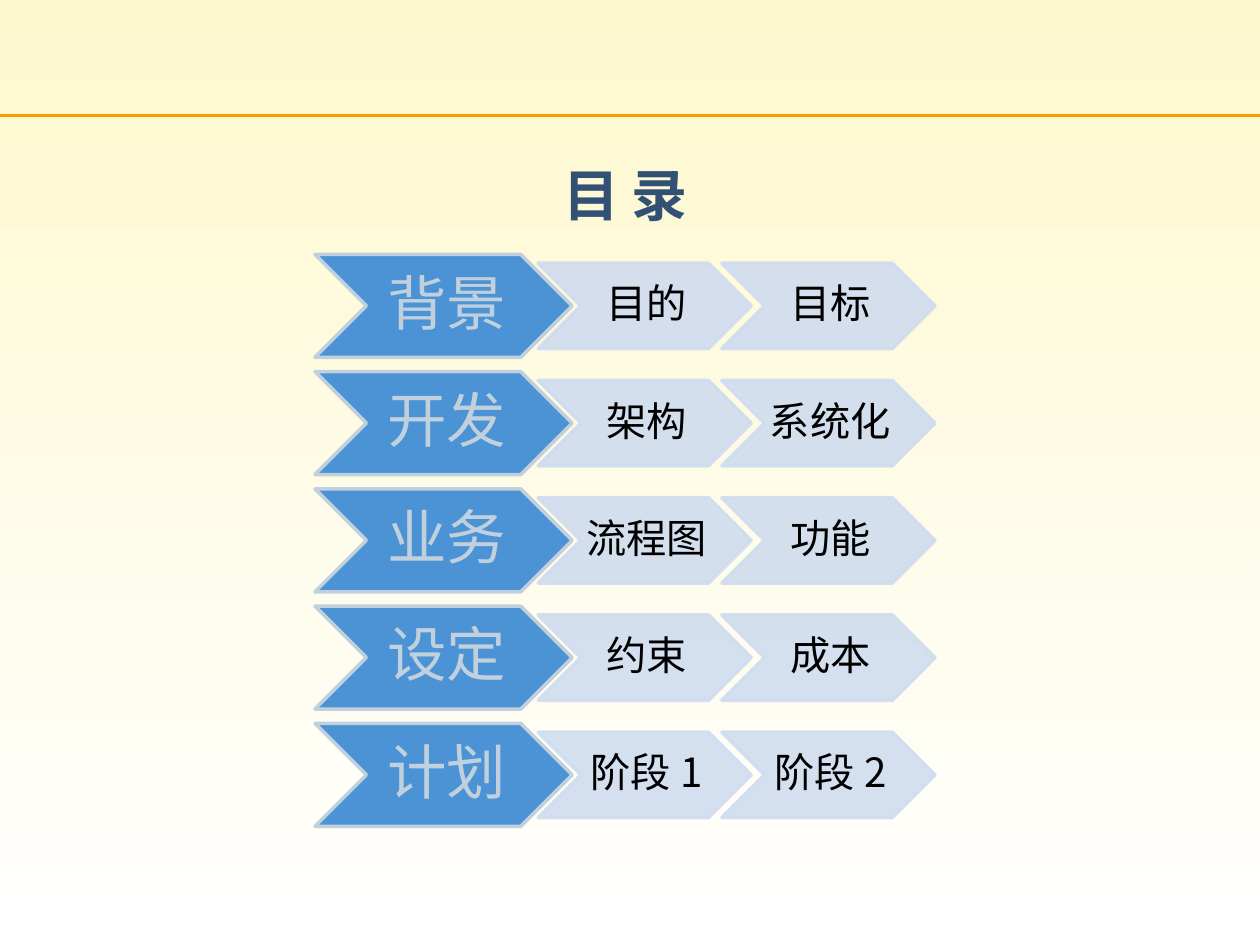
from lxml.etree import SubElement
from pptx import Presentation
from pptx.dml.color import RGBColor
from pptx.enum.shapes import MSO_CONNECTOR as Connector, MSO_SHAPE as Shape
from pptx.enum.text import MSO_ANCHOR as Anchor, MSO_AUTO_SIZE as AutoSize, PP_ALIGN as Align
from pptx.oxml.ns import qn
from pptx.util import Pt

FONT = "Noto Sans CJK SC"

CHAPTERS = [
    ("背景", "目的", "目标"),
    ("开发", "架构", "系统化"),
    ("业务", "流程图", "功能"),
    ("设定", "约束", "成本"),
    ("计划", "阶段 1", "阶段 2"),
]
FIRST_TOP = 145.4
ROW_STEP = 67
CHAPTER_LEFT = 180
CHAPTER_SIZE = (147, 58.8)
TOPIC_LEFT = 307.5
TOPIC_STEP = 105
TOPIC_SIZE = (121.8, 48.8)

CHAPTER_STYLE = {"fill": "4B93D5", "line": "C1D0DD", "text": "C1D0DD",
                 "size": 34, "inset": 3.4, "opacity": 100}
TOPIC_STYLE = {"fill": "D0DCEF", "line": "D0DCEF", "text": "000000",
               "size": 23, "inset": 2.3, "opacity": 90}


def color(value):
    return RGBColor.from_string(value)


def apply(target, values):
    for name, value in values.items():
        setattr(target, name, value)


def set_opacity(shape, percent):
    for element in shape._element.spPr.iter(qn("a:srgbClr")):
        SubElement(element, qn("a:alpha")).set("val", str(percent * 1000))


class SlideBuilder:
    def __init__(self, slide, font):
        self.slide = slide
        self.font = font

    def background(self, top, bottom):
        fill = self.slide.background.fill
        fill.gradient()
        fill.gradient_angle = 270
        for stop, position, value in zip(fill.gradient_stops, (0, 1), (top, bottom)):
            apply(stop, {"position": position})
            stop.color.rgb = color(value)

    def rule(self, top, width, value, weight):
        line = self.slide.shapes.add_connector(
            Connector.STRAIGHT, 0, Pt(top), Pt(width), Pt(top))
        line.line.width = Pt(weight)
        line.line.color.rgb = color(value)
        SubElement(line._element.spPr, qn("a:effectLst"))

    def text(self, frame, words, size, value, bold=False):
        paragraph = frame.paragraphs[0]
        apply(paragraph, {"alignment": Align.CENTER, "line_spacing": 1.0 if bold else 0.9})
        run = paragraph.add_run()
        run.text = words
        apply(run.font, {"name": self.font, "size": Pt(size), "bold": bold})
        run.font.color.rgb = color(value)
        SubElement(run.font._element, qn("a:ea")).set("typeface", self.font)

    def title(self, words, left, top, width, height, size, value):
        title = self.slide.shapes.title
        apply(title, {"left": Pt(left), "top": Pt(top),
                      "width": Pt(width), "height": Pt(height)})
        apply(title.text_frame, {"auto_size": AutoSize.NONE,
                                 "vertical_anchor": Anchor.MIDDLE})
        self.text(title.text_frame, words, size, value, bold=True)

    def chevron(self, words, left, top, size, style):
        shape = self.slide.shapes.add_shape(
            Shape.CHEVRON, Pt(left), Pt(top), *map(Pt, size))
        shape.shadow.inherit = False
        shape.fill.solid()
        shape.fill.fore_color.rgb = color(style["fill"])
        shape.line.color.rgb = color(style["line"])
        shape.line.width = Pt(2)
        if style["opacity"] < 100:
            set_opacity(shape, style["opacity"])
        apply(shape.text_frame, {
            "word_wrap": True, "vertical_anchor": Anchor.MIDDLE,
            "margin_left": Pt(style["inset"]), "margin_right": 0,
            "margin_top": Pt(1.5), "margin_bottom": Pt(1.5)})
        self.text(shape.text_frame, words, style["size"], style["text"])


def main():
    presentation = Presentation()
    apply(presentation, {"slide_width": Pt(720), "slide_height": Pt(540)})
    slide = presentation.slides.add_slide(presentation.slide_layouts[5])
    builder = SlideBuilder(slide, FONT)
    builder.background("FDF8CD", "FFFFFF")
    builder.rule(66, 720, "FF9900", 1.5)
    builder.title("目 录", 161.3, 88.6, 392.4, 44.6, 32, "335175")

    topic_offset = (CHAPTER_SIZE[1] - TOPIC_SIZE[1]) / 2
    for row, (chapter, *topics) in enumerate(CHAPTERS):
        top = FIRST_TOP + row * ROW_STEP
        builder.chevron(chapter, CHAPTER_LEFT, top, CHAPTER_SIZE, CHAPTER_STYLE)
        for column, topic in enumerate(topics):
            builder.chevron(topic, TOPIC_LEFT + column * TOPIC_STEP,
                            top + topic_offset, TOPIC_SIZE, TOPIC_STYLE)
    presentation.save("out.pptx")


if __name__ == "__main__":
    main()
